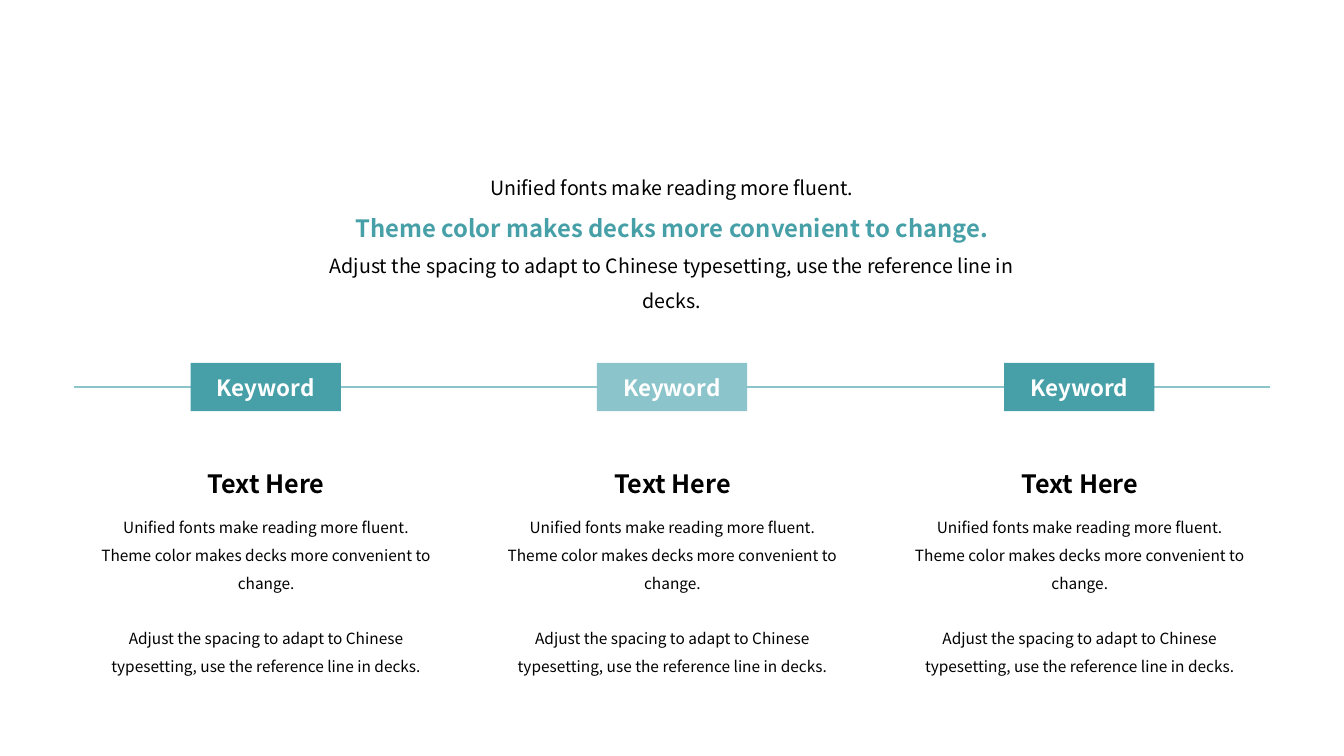
from dataclasses import dataclass

from lxml.etree import SubElement
from pptx import Presentation
from pptx.dml.color import RGBColor
from pptx.enum.shapes import MSO_CONNECTOR, MSO_SHAPE
from pptx.enum.text import MSO_ANCHOR, PP_ALIGN
from pptx.oxml.ns import qn
from pptx.slide import Slide
from pptx.text.text import TextFrame
from pptx.util import Emu, Pt

PX = 9144  # EMU per px, 100 px to the inch


@dataclass(frozen=True)
class Theme:
    font: str = "Noto Sans CJK SC"
    teal: str = "47A0A8"
    pale_teal: str = "8BC4CA"
    black: str = "000000"
    white: str = "FFFFFF"
    body: float = 11
    lead: float = 14
    keyword: float = 16
    highlight: float = 17
    heading: float = 18
    timeline: float = 1.75
    line_spacing: float = 1.5
    body_gap: float = 19.7


THEME = Theme()


@dataclass(frozen=True)
class Box:
    left: int
    top: int
    width: int
    height: int

    def emu(self) -> tuple[Emu, Emu, Emu, Emu]:
        return px(self.left), px(self.top), px(self.width), px(self.height)


@dataclass(frozen=True)
class Line:
    text: str
    size: float
    color: str = THEME.black
    bold: bool = False
    spacing: float = 1.0
    before: float = 0


@dataclass(frozen=True)
class Column:
    keyword: str
    fill: str
    heading: str


UNIFIED = "Unified fonts make reading more fluent."
THEMED = "Theme color makes decks more convenient to change."
ADJUST = "Adjust the spacing to adapt to Chinese typesetting, use the reference line in decks."

INTRO = [
    Line(UNIFIED, THEME.lead, spacing=THEME.line_spacing),
    Line(THEMED, THEME.highlight, THEME.teal, True, THEME.line_spacing),
    Line(ADJUST, THEME.lead, spacing=THEME.line_spacing),
]
BODY = [
    Line(UNIFIED, THEME.body, spacing=THEME.line_spacing),
    Line(THEMED, THEME.body, spacing=THEME.line_spacing),
    Line(ADJUST, THEME.body, spacing=THEME.line_spacing, before=THEME.body_gap),
]
COLUMNS = [
    Column("Keyword", THEME.teal, "Text Here"),
    Column("Keyword", THEME.pale_teal, "Text Here"),
    Column("Keyword", THEME.teal, "Text Here"),
]
FIRST_LEFT = 74
TWO_COLUMNS = 807  # distance from the first column to the third
COLUMN_WIDTH = 380
KEYWORD_INDENT = 115


def px(length: int) -> Emu:
    return Emu(length * PX)


def write(frame: TextFrame, lines: list[Line], anchor: MSO_ANCHOR, wrap: bool) -> None:
    frame.word_wrap = wrap
    frame.vertical_anchor = anchor
    for index, line in enumerate(lines):
        para = frame.add_paragraph() if index else frame.paragraphs[0]
        para.text = line.text
        para.alignment = PP_ALIGN.CENTER
        para.line_spacing = line.spacing
        if line.before:
            para.space_before = Pt(line.before)
        para.font.name = THEME.font
        para.font.size = Pt(line.size)
        para.font.bold = line.bold
        para.font.color.rgb = RGBColor.from_string(line.color)


def add_text(page: Slide, box: Box, lines: list[Line],
             anchor: MSO_ANCHOR = MSO_ANCHOR.TOP, wrap: bool = True) -> None:
    write(page.shapes.add_textbox(*box.emu()).text_frame, lines, anchor, wrap)


def add_timeline(page: Slide, left: int, right: int, y: int) -> None:
    line = page.shapes.add_connector(
        MSO_CONNECTOR.STRAIGHT, px(left), px(y), px(right), px(y))
    line.line.color.rgb = RGBColor.from_string(THEME.pale_teal)
    line.line.width = Pt(THEME.timeline)
    SubElement(line._element.spPr, qn("a:effectLst"))


def add_keyword(page: Slide, box: Box, text: str, fill: str) -> None:
    shape = page.shapes.add_shape(MSO_SHAPE.RECTANGLE, *box.emu())
    shape.shadow.inherit = False
    shape.fill.solid()
    shape.fill.fore_color.rgb = RGBColor.from_string(fill)
    shape.line.fill.background()
    line = Line(text, THEME.keyword, THEME.white, True)
    write(shape.text_frame, [line], MSO_ANCHOR.MIDDLE, False)


def add_column(page: Slide, left: int, column: Column) -> None:
    add_keyword(page, Box(left + KEYWORD_INDENT, 360, 149, 48), column.keyword, column.fill)
    add_text(page, Box(left, 500, COLUMN_WIDTH, 151), BODY)
    heading = Line(column.heading, THEME.heading, bold=True)
    add_text(page, Box(left, 456, COLUMN_WIDTH, 44), [heading], MSO_ANCHOR.BOTTOM, False)


def main() -> None:
    deck = Presentation()
    deck.slide_width, deck.slide_height = px(1333), px(750)
    page = deck.slides.add_slide(deck.slide_layouts[6])

    # Timeline with its three columns
    add_timeline(page, 73, 1260, 384)
    for index, column in enumerate(COLUMNS):
        add_column(page, FIRST_LEFT + index * TWO_COLUMNS // 2, column)

    # Introduction
    add_text(page, Box(310, 158, 713, 143), INTRO)

    deck.save("out.pptx")


if __name__ == "__main__":
    main()
